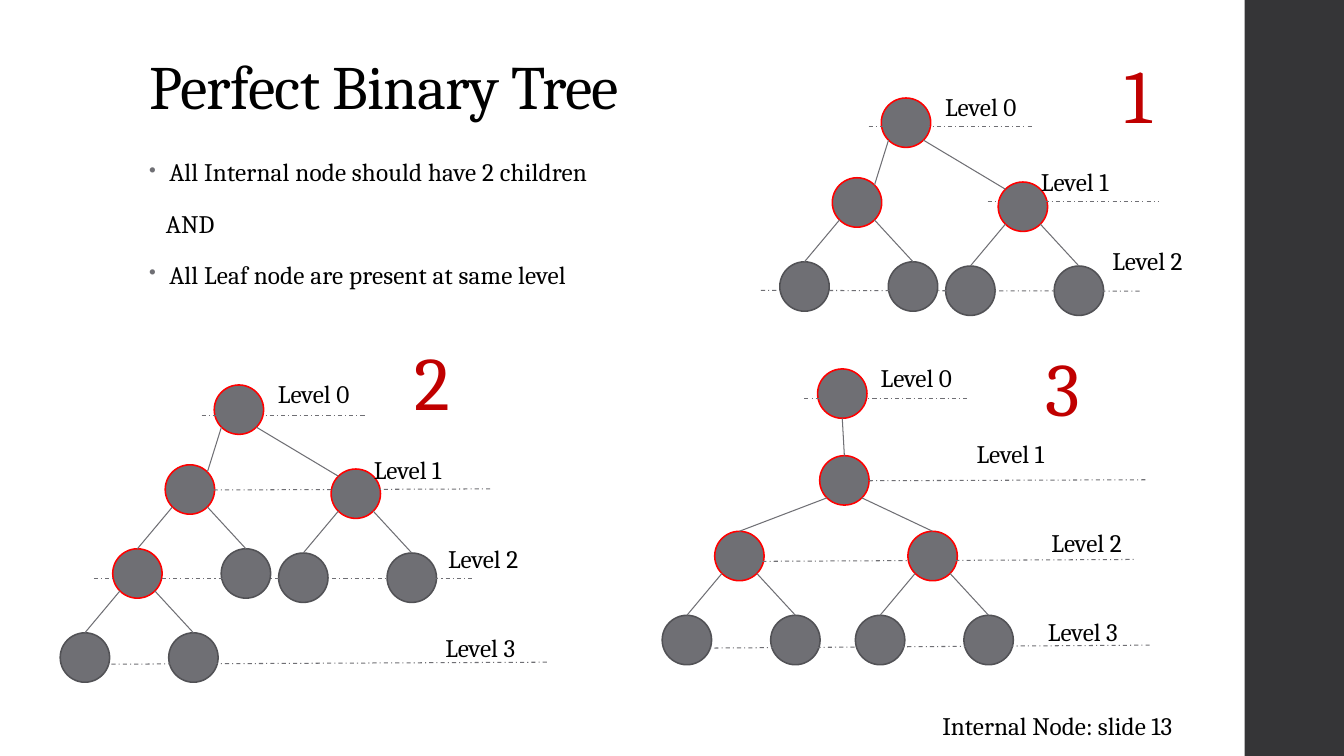
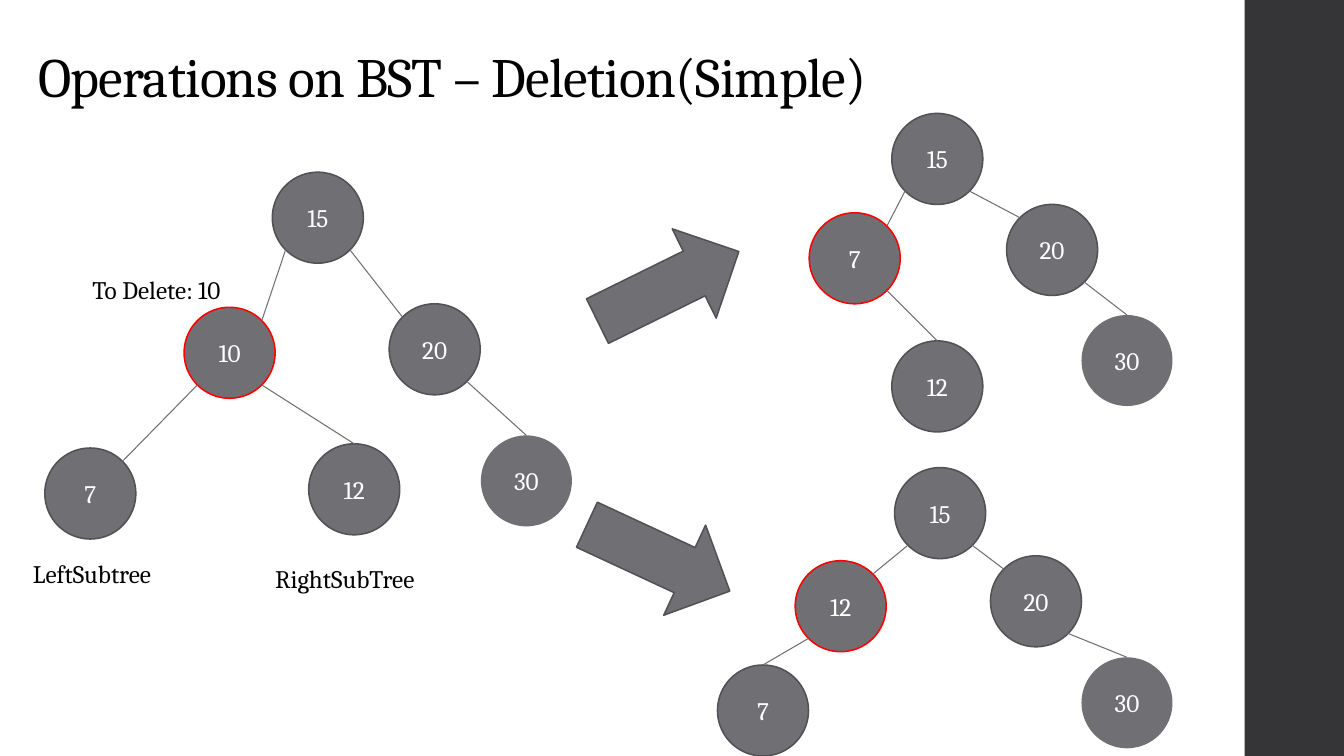
from dataclasses import dataclass

from lxml.etree import SubElement
from pptx import Presentation
from pptx.dml.color import RGBColor
from pptx.enum.dml import MSO_LINE
from pptx.enum.shapes import MSO_CONNECTOR, MSO_SHAPE
from pptx.enum.text import MSO_ANCHOR, MSO_AUTO_SIZE, PP_ALIGN
from pptx.oxml.ns import qn
from pptx.util import Pt


@dataclass(frozen=True)
class Theme:
    font: str = "Cambria"
    ink: str = "000000"
    paper: str = "FFFFFF"
    grey: str = "6F6F74"
    outline: str = "525256"
    marked: str = "FF0000"
    number: str = "C00000"
    band: str = "353537"
    text_size: float = 18
    title_size: float = 44
    long_title_size: float = 39.6
    number_size: float = 54
    outline_width: float = 1.1
    edge_width: float = 0.75


THEME = Theme()
SLIDE_WIDTH, SLIDE_HEIGHT = 960, 540
BAND_LEFT = 889
SMALL_NODE, LARGE_NODE = 35.3, 65
FORK_LEFT, FORK_RIGHT, FORK_DROP = -37.5, 40, 60

# Points on a circle as fractions of its width and height
NEAR, FAR = 0.146, 0.854
SITES = {
    "N": (0.5, 0), "S": (0.5, 1),
    "NW": (NEAR, NEAR), "NE": (FAR, NEAR),
    "SW": (NEAR, FAR), "SE": (FAR, FAR),
}

# Per tree: label position, then start and end of the level line
LEVELS_1 = [
    ((668, 62), (620.5, 90.7), (737, 90.7)),
    ((736.5, 115), (705.5, 144), (828, 144)),
    ((787.5, 172), (543.5, 207.4), (814.5, 208)),
]
LEVELS_2 = [
    ((191.5, 267), (144, 296.6), (260.6, 296.6)),
    ((260, 321), (152.6, 350), (350.6, 349.2)),
    ((313, 384.5), (67, 413.3), (337.7, 413.3)),
    ((311, 448), (63.4, 474.5), (391, 473)),
]
LEVELS_3 = [
    ((622, 255.5), (574.5, 284.4), (691, 284.4)),
    ((690.5, 309.5), (620.6, 343.4), (818.6, 342.7)),
    ((744, 373), (536.4, 401), (810.7, 399.6)),
    ((741.5, 436.5), (494, 463), (821.5, 460.8)),
]

# Per tree: marked value, node positions, edges
SEARCH_TREES = [
    (10,
     {15: (194.5, 123), 10: (131.5, 219.5), 20: (278, 217),
      30: (343.5, 311), 7: (32, 320), 12: (220.5, 317)},
     [(15, "SW", 10, "NE"), (15, "SE", 20, "NW"), (20, "SE", 30, "N"),
      (10, "SW", 7, "NE"), (10, "SE", 12, "N")]),
    (7,
     {15: (637, 81), 7: (578, 152), 20: (719, 146),
      30: (772.5, 225), 12: (637, 243.5)},
     [(15, "SW", 7, "NE"), (15, "SE", 20, "NW"), (20, "SE", 30, "N"),
      (7, "SE", 12, "N")]),
    (12,
     {15: (639, 334), 12: (568, 400.5), 20: (707.5, 397),
      30: (772.5, 469.5), 7: (512.5, 475)},
     [(15, "SW", 12, "NE"), (15, "SE", 20, "NW"), (20, "SE", 30, "N"),
      (12, "SW", 7, "N")]),
]


def rgb(code):
    return RGBColor.from_string(code)


def write(frame, text, *, size=THEME.text_size, color=THEME.ink,
          align=PP_ALIGN.LEFT, anchor=MSO_ANCHOR.TOP, wrap=True, leading=None,
          before=None, after=None, tracking=None, indent=0, bullet=False):
    """Add one paragraph to the frame; tracking and indent are in points."""
    frame.word_wrap = wrap
    frame.auto_size = MSO_AUTO_SIZE.NONE
    frame.vertical_anchor = anchor
    paragraph = frame.add_paragraph() if frame.text else frame.paragraphs[0]
    paragraph.alignment = align
    if leading:
        paragraph.line_spacing = leading
    if before is not None:
        paragraph.space_before = Pt(before)
    if after is not None:
        paragraph.space_after = Pt(after)
    run = paragraph.add_run()
    run.text = text
    run.font.name = THEME.font
    run.font.size = Pt(size)
    run.font.color.rgb = rgb(color)
    if tracking:
        run._r.get_or_add_rPr().set("spc", str(round(tracking * 100)))
    properties = paragraph._p.get_or_add_pPr()
    if indent:
        properties.set("marL", str(Pt(indent)))
        properties.set("indent", str(-Pt(indent) if bullet else 0))
    if bullet:
        bullet_color = SubElement(properties, qn("a:buClr"))
        SubElement(bullet_color, qn("a:srgbClr"), val=THEME.grey)
        SubElement(properties, qn("a:buSzPct"), val="80000")
        SubElement(properties, qn("a:buChar"), char="•")


def add_label(slide, text, left, top, width=105, height=29, **text_format):
    label = slide.shapes.add_textbox(Pt(left), Pt(top), Pt(width), Pt(height))
    write(label.text_frame, text, **text_format)


def add_filled(slide, preset, left, top, width, height,
               fill=THEME.grey, outline=THEME.outline):
    shape = slide.shapes.add_shape(preset, Pt(left), Pt(top), Pt(width), Pt(height))
    shape.shadow.inherit = False
    shape.fill.solid()
    shape.fill.fore_color.rgb = rgb(fill)
    if outline:
        shape.line.color.rgb = rgb(outline)
        shape.line.width = Pt(THEME.outline_width)
    else:
        shape.line.fill.background()
    return shape


def add_node(slide, left, top, diameter=SMALL_NODE, value=None,
             outline=THEME.outline):
    node = add_filled(slide, MSO_SHAPE.OVAL, left, top, diameter, diameter,
                      outline=outline)
    if value is not None:
        write(node.text_frame, str(value), color=THEME.paper,
              align=PP_ALIGN.CENTER, anchor=MSO_ANCHOR.MIDDLE)
    return node


def add_line(slide, start, end):
    line = slide.shapes.add_connector(MSO_CONNECTOR.STRAIGHT, *start, *end)
    line.line.color.rgb = rgb(THEME.grey)
    line.line.width = Pt(THEME.edge_width)
    SubElement(line.element.spPr, qn("a:effectLst"))
    return line


def site_point(node, site):
    across, down = SITES[site]
    return int(node.left + node.width * across), int(node.top + node.height * down)


def add_edge(slide, parent, start, child, end):
    edge = add_line(slide, site_point(parent, start), site_point(child, end))
    if end == "N":
        edge.end_connect(child, 0)


def add_fork(slide, parent, left_outline=THEME.outline):
    """Hang two children below the parent and return the left one."""
    children = []
    for shift, start, outline in ((FORK_LEFT, "SW", left_outline),
                                  (FORK_RIGHT, "SE", THEME.outline)):
        child = add_node(slide, parent.left.pt + shift,
                         parent.top.pt + FORK_DROP, outline=outline)
        add_edge(slide, parent, start, child, "N")
        children.append(child)
    return children[0]


def add_three_level_tree(slide, left, top, left_outline=THEME.outline):
    """Draw the seven-node tree and return its leftmost node."""
    root, left_child, right_child = (
        add_node(slide, left + dx, top + dy, outline=THEME.marked)
        for dx, dy in ((0, 0), (-35, 57), (83.5, 60)))
    add_edge(slide, root, "SW", left_child, "NE")
    add_edge(slide, root, "SE", right_child, "NW")
    add_fork(slide, right_child)
    return add_fork(slide, left_child, left_outline)


def add_stemmed_tree(slide):
    """Draw the tree whose root has a single child."""
    root, stem, left_child, right_child = (
        add_node(slide, left, top, outline=THEME.marked)
        for left, top in ((584, 263.5), (585.5, 325.5),
                          (510.5, 379.5), (648.5, 379.5)))
    add_edge(slide, root, "S", stem, "N")
    for child, start in ((left_child, "SW"), (right_child, "SE")):
        add_edge(slide, stem, start, child, "N")
        add_fork(slide, child)


def add_levels(slide, levels):
    for number, (label_at, start, end) in enumerate(levels):
        line = add_line(slide, map(Pt, start), map(Pt, end))
        line.line.dash_style = MSO_LINE.DASH_DOT
        add_label(slide, f"Level {number}", *label_at)


def add_search_tree(slide, marked, places, edges):
    nodes = {}
    for value, (left, top) in places.items():
        outline = THEME.marked if value == marked else THEME.outline
        nodes[value] = add_node(slide, left, top, LARGE_NODE, value,
                                None if value == 30 else outline)
    for parent, start, child, end in edges:
        add_edge(slide, nodes[parent], start, nodes[child], end)


def add_titled_slide(deck, title, left, top, size):
    slide = deck.slides.add_slide(deck.slide_layouts[5])
    heading = slide.shapes.title
    heading.left, heading.top = Pt(left), Pt(top)
    heading.width, heading.height = Pt(763), Pt(62)
    write(heading.text_frame, title, size=size, anchor=MSO_ANCHOR.BOTTOM,
          leading=0.9, tracking=-0.5)
    return slide


def move_band_to_layout(slide):
    """Put the side band on the layout, so that every slide shows it."""
    layout = slide.slide_layout
    for placeholder in list(layout.placeholders):
        if placeholder.placeholder_format.idx:
            layout.shapes.element.remove(placeholder.element)
    band = add_filled(slide, MSO_SHAPE.RECTANGLE, BAND_LEFT, 0,
                      SLIDE_WIDTH - BAND_LEFT, SLIDE_HEIGHT, THEME.band, None)
    layout.shapes.element.append(band.element)


def build_perfect_tree_slide(deck):
    slide = add_titled_slide(deck, "Perfect Binary Tree", 99.4, 29,
                             THEME.title_size)
    move_band_to_layout(slide)
    rules = slide.shapes.add_textbox(Pt(99.4), Pt(110), Pt(400), Pt(110))
    for text, indent, bullet in (
            ("All Internal node should have 2 children", 14.4, True),
            ("AND", 12, False),
            ("All Leaf node are present at same level", 14.4, True)):
        write(rules.text_frame, text, leading=0.95, before=14, after=2,
              tracking=0.1, indent=indent, bullet=bullet)

    add_three_level_tree(slide, 629.5, 70)
    add_fork(slide, add_three_level_tree(slide, 153, 275, THEME.marked))
    add_stemmed_tree(slide)
    for levels in (LEVELS_1, LEVELS_2, LEVELS_3):
        add_levels(slide, levels)
    for number, left, top in (("1", 791, 31), ("2", 286.5, 235.5),
                              ("3", 737, 240)):
        add_label(slide, number, left, top, 44.6, 72.7, wrap=False,
                  size=THEME.number_size, color=THEME.number,
                  align=PP_ALIGN.CENTER)
    add_label(slide, "Internal Node: slide 13", 666, 503.5, 207)


def build_deletion_slide(deck):
    slide = add_titled_slide(deck, "Operations on BST – Deletion(Simple)",
                             20, 20, THEME.long_title_size)
    for tree in SEARCH_TREES:
        add_search_tree(slide, *tree)
    for text, left, top in (("To Delete: 10", 59, 192.5),
                            ("LeftSubtree", 16.5, 395),
                            ("RightSubTree", 189.5, 399)):
        add_label(slide, text, left, top, 130)
    for left, top, rotation in ((421, 169, -26.2), (414, 363, 24.9)):
        arrow = add_filled(slide, MSO_SHAPE.RIGHT_ARROW, left, top, 112.5, 71)
        arrow.rotation = rotation


def main():
    deck = Presentation()
    deck.slide_width, deck.slide_height = Pt(SLIDE_WIDTH), Pt(SLIDE_HEIGHT)
    build_perfect_tree_slide(deck)
    build_deletion_slide(deck)
    deck.save("out.pptx")


if __name__ == "__main__":
    main()
